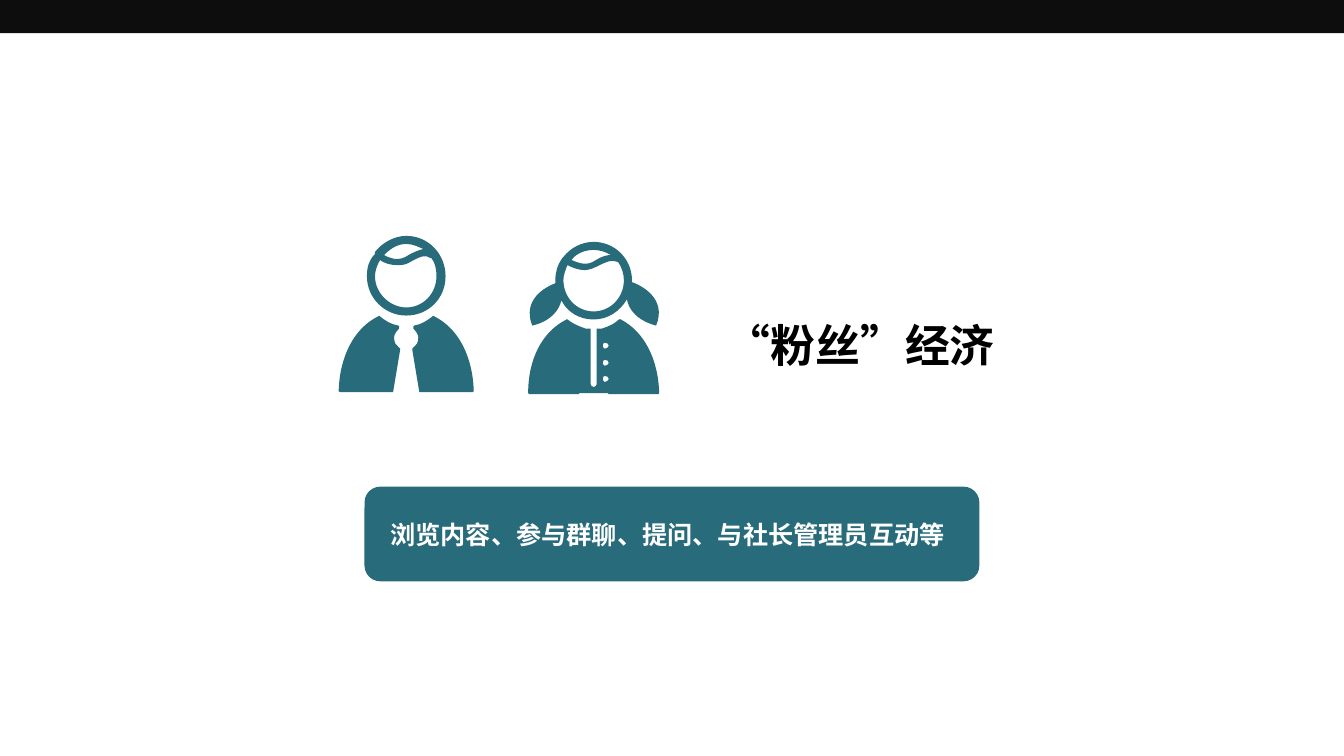
from pptx import Presentation
from pptx.dml.color import RGBColor
from pptx.enum.lang import MSO_LANGUAGE_ID
from pptx.enum.shapes import MSO_SHAPE
from pptx.enum.text import MSO_ANCHOR, MSO_AUTO_SIZE, PP_ALIGN
from pptx.oxml.ns import qn
from pptx.util import Pt
from lxml import etree

RECTANGLE = MSO_SHAPE.RECTANGLE
ROUNDED = MSO_SHAPE.ROUNDED_RECTANGLE
MIDDLE = MSO_ANCHOR.MIDDLE
LEFT = PP_ALIGN.LEFT
NO_AUTOSIZE = MSO_AUTO_SIZE.NONE
CHINESE = MSO_LANGUAGE_ID.SIMPLIFIED_CHINESE
FONT = "Noto Sans CJK SC"
TEAL = "286B7B"
UNIT = Pt(0.72)

MAN_JACKET = [
    (391, 335), (391, 332, 393, 329, 396, 326), (396, 324),
    (396, 323, 396, 323, 395, 323), (388, 322, 382, 318, 377, 314),
    (377, 313, 376, 313, 375, 314), (351, 326, 337, 354, 336, 388),
    (336, 389, 337, 389, 337, 389), (388, 389), (390, 389),
    (397, 347), (397, 346, 397, 345, 396, 345), (393, 343, 391, 340, 391, 335),
]
MAN_HEAD = [
    [(442, 274), (442, 252, 425, 234, 403, 234), (391, 234, 379, 241, 372, 250),
     (372, 252), (366, 258, 364, 265, 364, 274), (364, 296, 382, 313, 403, 313),
     (425, 313, 442, 296, 442, 274)],
    [(403, 242), (410, 242, 415, 245, 420, 247), (416, 248, 410, 250, 402, 255),
     (394, 259, 386, 256, 381, 253), (387, 247, 394, 242, 403, 242)],
    [(403, 305), (387, 305, 372, 291, 372, 274), (372, 269, 374, 263, 377, 258),
     (381, 261, 387, 263, 394, 263), (398, 263, 401, 263, 405, 261),
     (419, 253, 422, 253, 427, 256), (428, 256), (432, 261, 433, 268, 433, 274),
     (433, 291, 420, 305, 403, 305)],
]
GIRL_JACKET = [
    [(616, 317), (616, 316, 615, 317, 614, 317), (610, 321, 604, 324, 597, 326),
     (592, 326), (592, 381), (592, 382, 591, 384, 589, 384),
     (587, 384, 586, 382, 586, 381), (586, 326), (581, 326),
     (575, 324, 568, 321, 563, 317), (563, 317, 562, 316, 562, 317),
     (538, 329, 524, 356, 524, 390), (524, 390, 525, 391, 525, 391), (574, 391),
     (574, 391, 575, 391, 575, 390), (603, 390), (603, 391, 604, 391, 604, 391),
     (653, 391), (654, 390), (653, 356, 639, 329, 616, 317)],
]
for button_y in (343, 360, 376):
    low, high = button_y - 3, button_y + 3
    GIRL_JACKET.append([
        (600, high), (599, high, 598, button_y + 1, 598, button_y),
        (598, button_y - 2, 599, low, 600, low),
        (602, low, 604, button_y - 2, 604, button_y),
        (604, button_y + 1, 602, high, 600, high)])
GIRL_HEAD = [
    [(557, 298), (563, 310, 575, 317, 589, 317), (603, 317, 615, 309, 622, 297),
     (626, 318, 651, 323, 651, 323), (662, 296, 636, 283, 627, 280), (627, 278),
     (627, 257, 610, 240, 589, 240), (577, 240, 566, 246, 559, 255), (558, 256),
     (553, 263, 551, 270, 551, 278), (551, 281), (541, 285, 518, 297, 528, 323),
     (528, 323, 552, 319, 557, 298)],
    [(589, 309), (572, 309, 559, 295, 559, 278), (559, 273, 561, 268, 563, 263),
     (567, 265, 573, 268, 580, 268), (583, 268, 587, 267, 591, 265),
     (605, 258, 607, 258, 613, 260), (614, 261), (617, 266, 619, 272, 619, 278),
     (619, 295, 606, 309, 589, 309)],
    [(589, 248), (595, 248, 601, 250, 606, 253), (601, 253, 596, 255, 588, 260),
     (580, 264, 572, 260, 567, 258), (572, 251, 581, 248, 589, 248)],
]

deck = Presentation()
deck.slide_width = Pt(960)
deck.slide_height = Pt(540)
page = deck.slides.add_slide(deck.slide_layouts[5])


def paint(shape, color):
    shape.shadow.inherit = False
    shape.fill.solid()
    shape.fill.fore_color.rgb = RGBColor.from_string(color)
    shape.line.fill.background()


def draw_outline(contours, mirror_sum=None):
    builder = None
    for contour in contours:
        points = [step[i:i + 2] for step in contour for i in range(0, len(step), 2)]
        if mirror_sum:
            points = [(mirror_sum - x, y) for x, y in points]
        if builder is None:
            builder = page.shapes.build_freeform(*points[0], scale=UNIT)
        else:
            builder.move_to(*points[0])
        builder.add_line_segments(points[1:], close=True)
    shape = builder.convert_to_shape()
    segments = iter(list(shape._element.iter(qn("a:lnTo"))))
    for contour in contours:
        for step in contour[1:]:
            first = next(segments)
            if len(step) == 6:
                curve = etree.Element(qn("a:cubicBezTo"))
                first.addprevious(curve)
                for segment in (first, next(segments), next(segments)):
                    curve.append(segment[0])
                    segment.getparent().remove(segment)
    paint(shape, TEAL)
    return shape


top_band = page.shapes.add_shape(RECTANGLE, 0, 0, Pt(960), Pt(23.76))
paint(top_band, "0D0D0D")

page.shapes.add_group_shape([
    draw_outline([MAN_JACKET]),
    draw_outline([MAN_JACKET], mirror_sum=806),
    draw_outline(MAN_HEAD),
])
page.shapes.add_group_shape([draw_outline(GIRL_JACKET), draw_outline(GIRL_HEAD)])

title = page.shapes.title
title.left, title.top, title.width, title.height = Pt(511.2), Pt(223.2), Pt(245.5), Pt(46)

activity_box = page.shapes.add_shape(ROUNDED, Pt(260.4), Pt(347.6), Pt(439.2), Pt(67.6))
paint(activity_box, TEAL)
activity_box.text_frame.margin_left = Pt(15.2)

for box, text, size, color in (
    (title, "“粉丝”经济", 32, "000000"),
    (activity_box, "浏览内容、参与群聊、提问、与社长管理员互动等", 18, "FFFFFF"),
):
    frame = box.text_frame
    frame.word_wrap = True
    frame.auto_size = NO_AUTOSIZE
    frame.vertical_anchor = MIDDLE
    para = frame.paragraphs[0]
    para.alignment = LEFT
    span = para.add_run()
    span.text = text
    font = span.font
    font.size = Pt(size)
    font.bold = True
    font.name = FONT
    font.language_id = CHINESE
    font.color.rgb = RGBColor.from_string(color)
    latin = span._r.rPr.find(qn("a:latin"))
    east_asian = etree.Element(qn("a:ea"), typeface=FONT)
    latin.addnext(east_asian)

deck.save("out.pptx")
